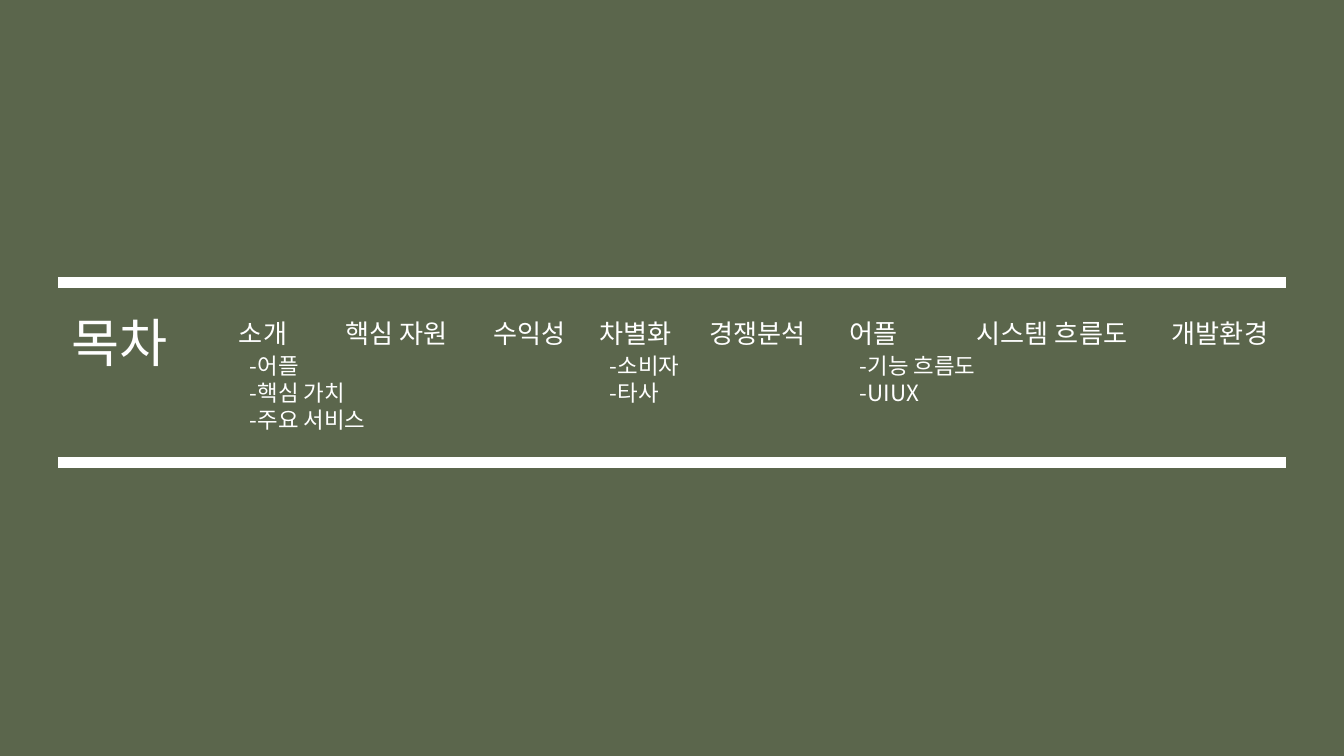
from dataclasses import dataclass

from lxml.etree import SubElement
from pptx import Presentation
from pptx.dml.color import RGBColor
from pptx.enum.shapes import MSO_CONNECTOR
from pptx.enum.text import MSO_ANCHOR, MSO_AUTO_SIZE, PP_ALIGN
from pptx.oxml.ns import qn
from pptx.util import Inches, Pt

COLORS = {"background": "5B664C", "foreground": "FFFFFF"}
FONT = "Noto Sans CJK KR"
SLIDE_WIDTH = Inches(10)
SLIDE_HEIGHT = SLIDE_WIDTH * 9 // 16
CELL = SLIDE_WIDTH // 1000
LEFT, RIGHT = 43, 957
RULE_ROWS = (210, 344)
TITLE_ROW, TITLE_WIDTH, TITLE_HEIGHT = 226, 99, 57
TOPIC_ROW, TOPIC_HEIGHT, SUBTOPIC_HEIGHT = 231, 34, 20
SUBTOPIC_GAP = Pt(2)
SUBTOPIC_INDENT = Inches(0.08)


@dataclass(frozen=True)
class Topic:
    name: str
    column: int
    width: int
    subtopics: tuple[str, ...] = ()


TOPICS = (
    Topic("소개", 168, 130, ("어플", "핵심 가치", "주요 서비스")),
    Topic("핵심 자원", 247, 106),
    Topic("수익성", 357, 79),
    Topic("차별화", 436, 92, ("소비자", "타사")),
    Topic("경쟁분석", 518, 99),
    Topic("어플", 622, 133, ("기능 흐름도", "UIUX")),
    Topic("시스템 흐름도", 717, 146),
    Topic("개발환경", 862, 99),
)


def rgb(name: str) -> RGBColor:
    return RGBColor.from_string(COLORS[name])


def format_paragraph(p, size: int) -> None:
    p.alignment = PP_ALIGN.LEFT
    for r in p.runs:
        r.font.size = Pt(size)
        r.font.name = FONT
        r.font.color.rgb = rgb("foreground")
        SubElement(r.font._element, qn("a:ea"), typeface=FONT)


def fit_frame(tf) -> None:
    tf.word_wrap = False
    tf.auto_size = MSO_AUTO_SIZE.SHAPE_TO_FIT_TEXT
    tf.vertical_anchor = MSO_ANCHOR.TOP


def set_title(s, text: str) -> None:
    sp = s.shapes.title
    sp.left, sp.top = LEFT * CELL, TITLE_ROW * CELL
    sp.width, sp.height = TITLE_WIDTH * CELL, TITLE_HEIGHT * CELL
    tf = sp.text_frame
    tf.text = text
    fit_frame(tf)
    format_paragraph(tf.paragraphs[0], 28)


def add_topic(s, topic: Topic) -> None:
    height = (TOPIC_HEIGHT + len(topic.subtopics) * SUBTOPIC_HEIGHT) * CELL
    if topic.subtopics:
        height += SUBTOPIC_GAP
    sp = s.shapes.add_textbox(
        topic.column * CELL, TOPIC_ROW * CELL, topic.width * CELL, height
    )
    tf = sp.text_frame
    tf.text = topic.name
    fit_frame(tf)
    format_paragraph(tf.paragraphs[0], 14)
    for index, subtopic in enumerate(topic.subtopics):
        p = tf.add_paragraph()
        p.text = f"-{subtopic}"
        p._p.get_or_add_pPr().set("marL", str(SUBTOPIC_INDENT))
        p.space_before = Pt(0) if index else SUBTOPIC_GAP
        format_paragraph(p, 12)


def add_rule(s, row: int) -> None:
    line = s.shapes.add_connector(
        MSO_CONNECTOR.STRAIGHT, LEFT * CELL, row * CELL, RIGHT * CELL, row * CELL
    )
    line.line.color.rgb = rgb("foreground")
    line.line.width = Pt(6)
    SubElement(line._element.spPr, qn("a:effectLst"))


def main() -> None:
    prs = Presentation()
    prs.slide_width, prs.slide_height = SLIDE_WIDTH, SLIDE_HEIGHT
    s = prs.slides.add_slide(prs.slide_layouts[5])
    s.background.fill.solid()
    s.background.fill.fore_color.rgb = rgb("background")
    set_title(s, "목차")
    for topic in TOPICS:
        add_topic(s, topic)
    for row in RULE_ROWS:
        add_rule(s, row)
    prs.save("out.pptx")


if __name__ == "__main__":
    main()
